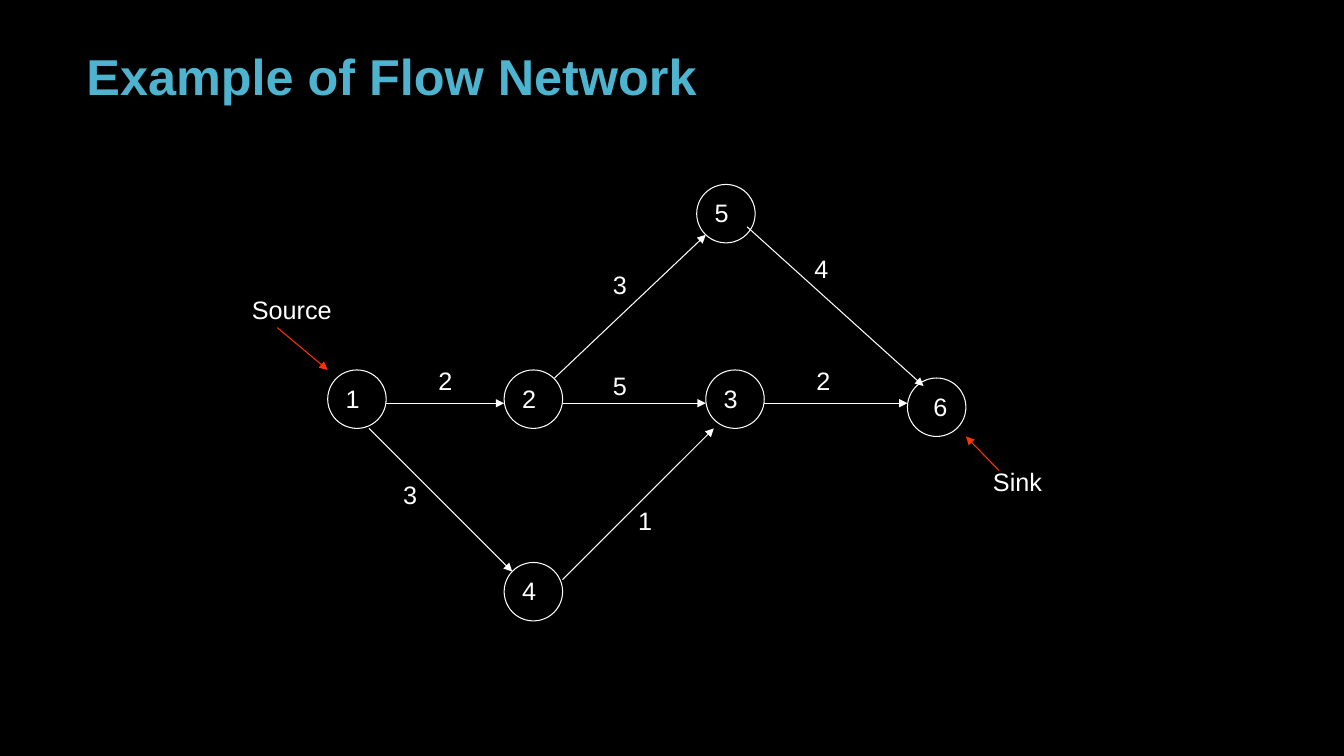
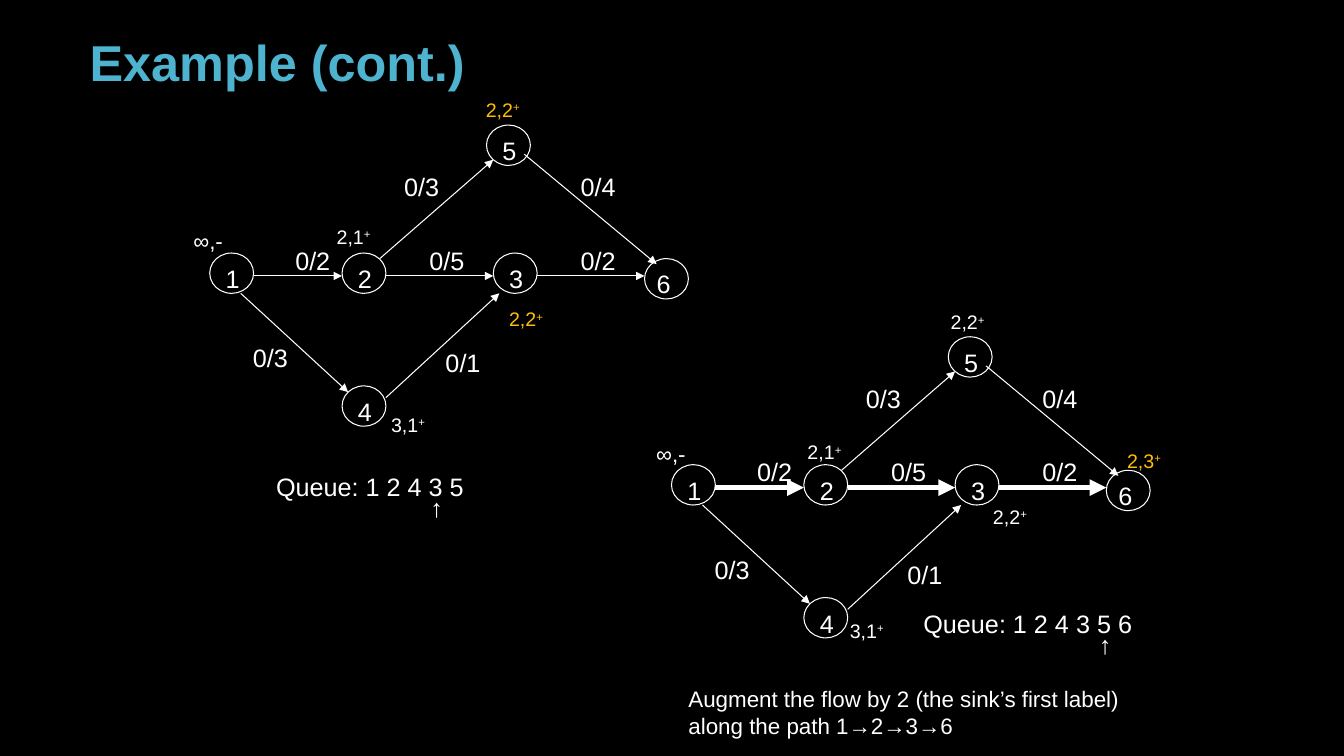
from lxml import etree
from pptx import Presentation
from pptx.dml.color import RGBColor
from pptx.enum import shapes, text
from pptx.oxml.ns import qn
from pptx.util import Inches, Pt

BLACK, WHITE, BLUE, RED, GOLD = "000000", "FFFFFF", "4EB3CF", "FF3300", "FFC000"

# Flow network at full size, measured from the top left of node 1
NODE_SIZE = 0.58
NODES = {1: (0, 0), 2: (1.75, 0), 3: (3.75, 0), 4: (1.75, 1.91), 5: (3.66, -1.84), 6: (5.75, 0.08)}
EDGES = {
    (1, 4): ((0.41, 0.58), (1.83, 2)),
    (1, 2): ((0.58, 0.33), (1.75, 0.33)),
    (2, 5): ((2.25, 0.08), (3.75, -1.34)),
    (2, 3): ((2.33, 0.33), (3.75, 0.33)),
    (4, 3): ((2.33, 2.08), (3.83, 0.58)),
    (3, 6): ((4.33, 0.33), (5.75, 0.33)),
    (5, 6): ((4.16, -1.42), (5.91, 0.16)),
}
CAPACITIES = {(1, 4): 3, (1, 2): 2, (2, 5): 3, (2, 3): 5, (4, 3): 1, (3, 6): 2, (5, 6): 4}

# Edge label places, also measured from node 1
CAPACITY_PLACES = {
    (1, 4): (0.65, 1.04), (1, 2): (1, -0.09), (2, 5): (2.73, -1.05), (2, 3): (2.73, -0.05),
    (4, 3): (2.98, 1.29), (3, 6): (4.75, -0.09), (5, 6): (4.73, -1.21),
}
FLOW_PLACES = {
    (1, 4): (0.33, 0.84), (1, 2): (0.75, -0.13), (2, 5): (1.83, -0.86), (2, 3): (2.08, -0.13),
    (4, 3): (2.24, 0.89), (3, 6): (3.58, -0.13), (5, 6): (3.58, -0.86),
}


def rgb(value):
    return RGBColor.from_string(value)


class Deck:
    font = "Arial"

    def __init__(self):
        self.presentation = Presentation()
        self.presentation.slide_width = Inches(13.33)
        self.presentation.slide_height = Inches(7.5)
        background = self.presentation.slide_master.background.fill
        background.solid()
        background.fore_color.rgb = rgb(BLACK)

    def new_slide(self, title, left, top, width, height):
        self.slide = self.presentation.slides.add_slide(self.presentation.slide_layouts[6])
        self.shapes = self.slide.shapes
        frame = self.text_frame(left, top, width, height, wrap=True)
        frame.auto_size = text.MSO_AUTO_SIZE.NONE
        frame.vertical_anchor = text.MSO_ANCHOR.BOTTOM
        paragraph = frame.paragraphs[0]
        paragraph.line_spacing = 0.9
        self.run(paragraph, title, 36, BLUE).font.bold = True

    def text_frame(self, left, top, width, height, wrap=False):
        box = self.shapes.add_textbox(Inches(left), Inches(top), Inches(width), Inches(height))
        frame = box.text_frame
        frame.word_wrap = wrap
        frame.auto_size = text.MSO_AUTO_SIZE.SHAPE_TO_FIT_TEXT
        return frame

    def run(self, paragraph, words, size=18, color=WHITE):
        run = paragraph.add_run()
        run.text = words
        run.font.name = self.font
        run.font.size = Pt(size)
        run.font.color.rgb = rgb(color)
        return run

    def label(self, words, left, top, width=0.34, height=0.4, size=18, wrap=False):
        frame = self.text_frame(left, top, width, height, wrap)
        self.run(frame.paragraphs[0], words, size)

    def node_label(self, words, left, top, color=WHITE):
        """Flow label followed by a raised plus sign."""
        paragraph = self.text_frame(left, top, 0.55, 0.34).paragraphs[0]
        self.run(paragraph, words, 14, color)
        plus = self.run(paragraph, "+", 14, color)
        plus.font._element.set("baseline", "30000")

    def queue(self, items, left, top, width, pointer_indent):
        frame = self.text_frame(left, top, width, 0.44, wrap=True)
        entries, pointer = frame.paragraphs[0], frame.add_paragraph()
        entries.line_spacing = pointer.line_spacing = 0.25
        pointer.space_before = Pt(9)
        properties = pointer._p.get_or_add_pPr()
        properties.set("marL", str(Inches(pointer_indent)))
        properties.set("indent", "0")
        self.run(entries, f"Queue: {items}")
        self.run(pointer, "↑")

    def circle(self, left, top, width, height):
        shape = self.shapes.add_shape(
            shapes.MSO_SHAPE.OVAL, Inches(left), Inches(top), Inches(width), Inches(height))
        shape.shadow.inherit = False
        shape.fill.background()
        shape.line.color.rgb = rgb(WHITE)
        shape.line.width = Pt(0.75)

    def arrow(self, start, end, color=WHITE, weight=0.75):
        connector = self.shapes.add_connector(
            shapes.MSO_CONNECTOR.STRAIGHT, *(Inches(value) for value in (*start, *end)))
        connector.line.color.rgb = rgb(color)
        connector.line.width = Pt(weight)
        properties = connector._element.spPr
        etree.SubElement(properties.find(qn("a:ln")), qn("a:tailEnd"), type="triangle")
        etree.SubElement(properties, qn("a:effectLst"))

    def network(self, left, top, places, sink_offset, scale=(1, 1), prefix="",
                label_width=0.34, thick_edges=()):
        """Draw the grouped network with node 1 at left, top."""
        def place(point):
            return left + point[0] * scale[0], top + point[1] * scale[1]

        self.shapes = self.slide.shapes.add_group_shape().shapes
        for point in NODES.values():
            self.circle(*place(point), NODE_SIZE * scale[0], NODE_SIZE * scale[1])
        for edge, (start, end) in EDGES.items():
            self.arrow(place(start), place(end), weight=4 if edge in thick_edges else 0.75)
        for number, (x, y) in NODES.items():
            dx, dy = sink_offset if number == 6 else (0.08, 0.08)
            self.label(str(number), *place((x + dx, y + dy)))
        for edge, (x, y) in places.items():
            self.label(f"{prefix}{CAPACITIES[edge]}", left + x, top + y, label_width)
        self.shapes = self.slide.shapes


def main():
    deck = Deck()

    # Network with capacities
    deck.new_slide("Example of Flow Network", 0.76, 0.22, 10, 0.88)
    deck.network(3.25, 3.67, CAPACITY_PLACES, sink_offset=(0.16, 0.08))
    deck.label("Source", 2.4, 2.87, 0.99)
    deck.label("Sink", 9.75, 4.58, 0.69)
    deck.arrow((2.75, 3.25), (3.25, 3.67), RED)
    deck.arrow((9.91, 4.67), (9.58, 4.33), RED)

    # Two steps of the labelling
    deck.new_slide("Example (cont.)", 0.79, 0.34, 9.25, 0.63)
    small = dict(places=FLOW_PLACES, sink_offset=(0.03, 0.07), scale=(0.75, 0.69),
                 prefix="0/", label_width=0.55)
    deck.network(2.08, 2.51, **small)
    deck.network(6.66, 4.61, thick_edges=((1, 2), (2, 3), (3, 6)), **small)
    for left, top in ((1.82, 2.2), (6.41, 4.32)):
        deck.label("∞,-", left, top, 0.5, 0.37, size=16)
    for words, left, top, color in (
        ("2,1", 3.24, 2.18, WHITE),
        ("3,1", 3.78, 4.05, WHITE),
        ("2,2", 4.72, 0.92, GOLD),
        ("2,2", 4.95, 3, GOLD),
        ("2,1", 7.91, 4.32, WHITE),
        ("2,2", 9.33, 3.03, WHITE),
        ("2,3", 11.08, 4.4, GOLD),
        ("2,2", 9.75, 4.96, WHITE),
        ("3,1", 8.33, 6.09, WHITE),
    ):
        deck.node_label(words, left, top, color)

    # Queues and conclusion
    deck.queue("1 2 4 3 5", 2.64, 4.82, 2.59, 1.53)
    deck.queue("1 2 4 3 5 6", 9.06, 6.18, 2.32, 1.74)
    deck.label("Augment the flow by 2 (the sink’s first label) along the path 1→2→3→6",
               6.73, 6.75, 5, 0.64, size=16, wrap=True)

    deck.presentation.save("out.pptx")


if __name__ == "__main__":
    main()
